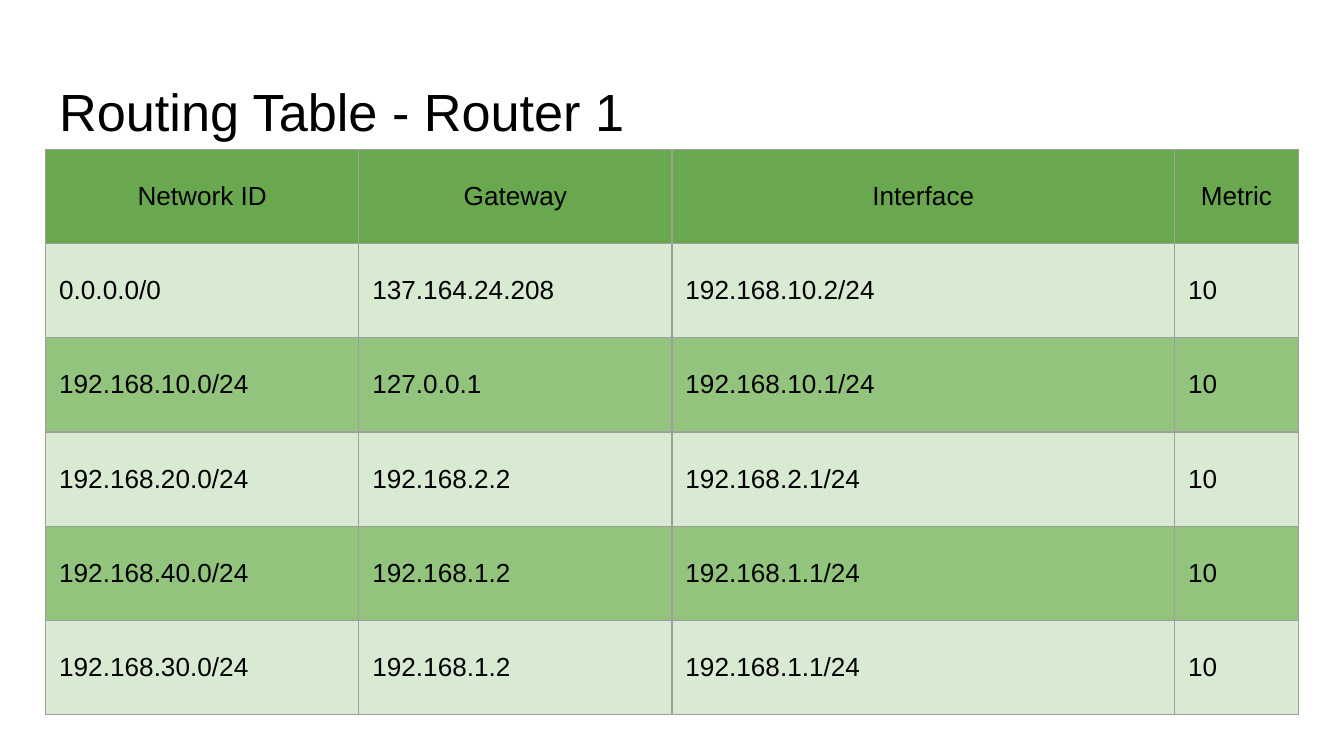
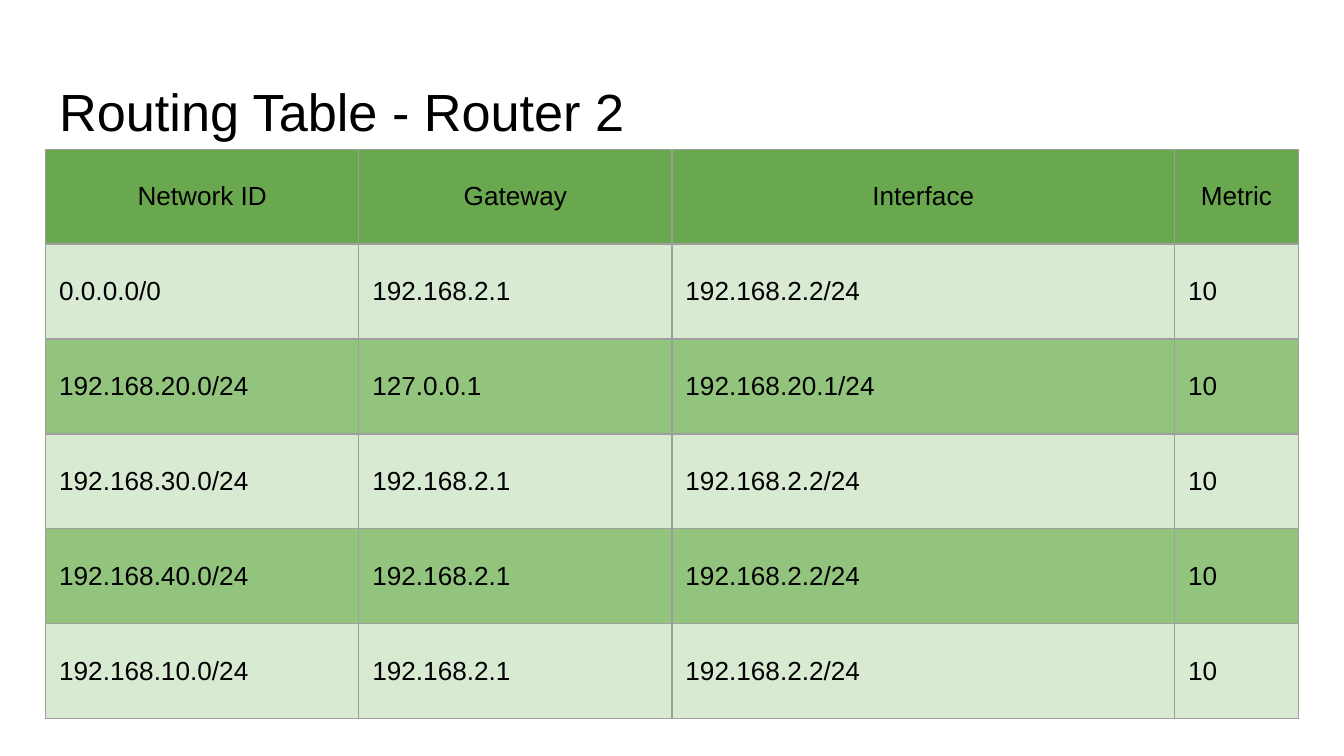
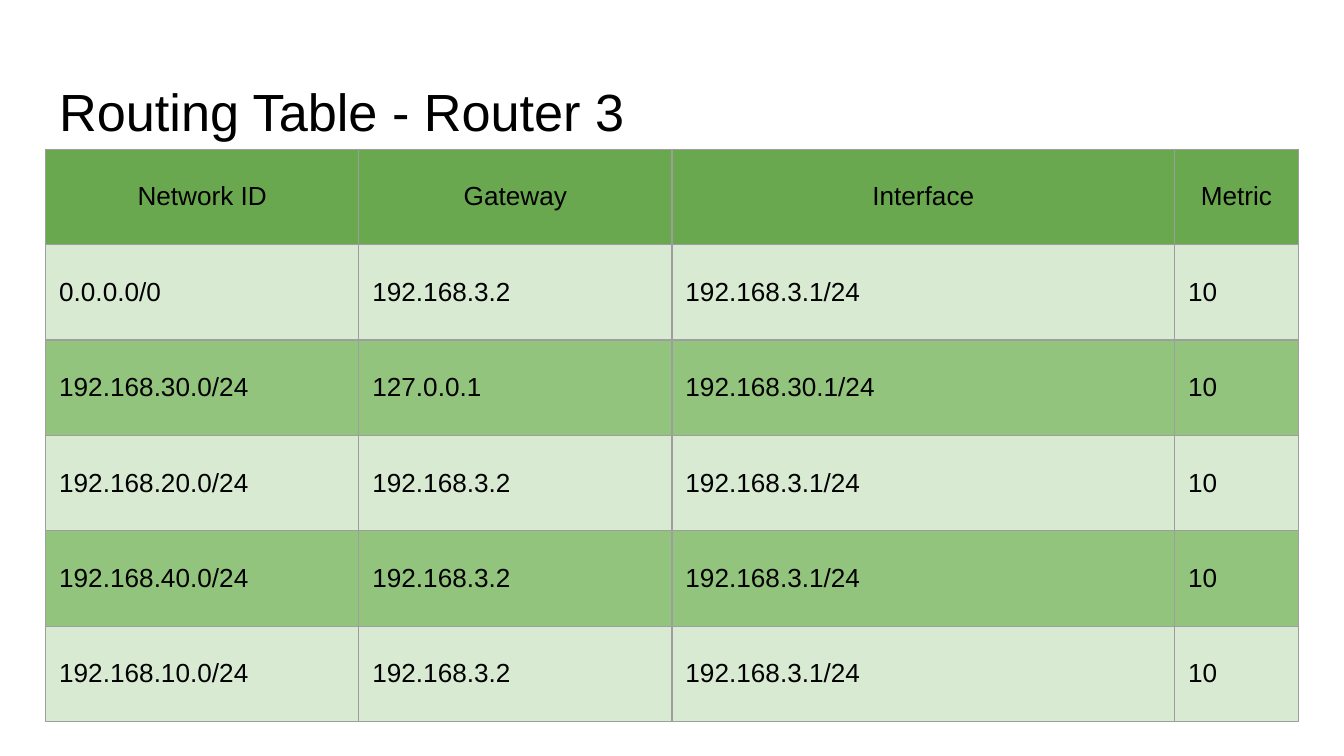
from pptx import Presentation
from pptx.dml.color import RGBColor
from pptx.enum.text import MSO_ANCHOR as Anchor, MSO_AUTO_SIZE as AutoSize, PP_ALIGN as Align
from pptx.oxml import parse_xml
from pptx.oxml.ns import nsdecls
from pptx.util import Inches, Pt

HEADER = ("Network ID", "Gateway", "Interface", "Metric")
ROUTERS = [
    {"title": "Routing Table - Router 1", "height": 4.21, "routes": [
        ("0.0.0.0/0", "137.164.24.208", "192.168.10.2/24"),
        ("192.168.10.0/24", "127.0.0.1", "192.168.10.1/24"),
        ("192.168.20.0/24", "192.168.2.2", "192.168.2.1/24"),
        ("192.168.40.0/24", "192.168.1.2", "192.168.1.1/24"),
        ("192.168.30.0/24", "192.168.1.2", "192.168.1.1/24"),
    ]},
    {"title": "Routing Table - Router 2", "height": 4.24, "routes": [
        ("0.0.0.0/0", "192.168.2.1", "192.168.2.2/24"),
        ("192.168.20.0/24", "127.0.0.1", "192.168.20.1/24"),
        ("192.168.30.0/24", "192.168.2.1", "192.168.2.2/24"),
        ("192.168.40.0/24", "192.168.2.1", "192.168.2.2/24"),
        ("192.168.10.0/24", "192.168.2.1", "192.168.2.2/24"),
    ]},
    {"title": "Routing Table - Router 3", "height": 4.26, "routes": [
        ("0.0.0.0/0", "192.168.3.2", "192.168.3.1/24"),
        ("192.168.30.0/24", "127.0.0.1", "192.168.30.1/24"),
        ("192.168.20.0/24", "192.168.3.2", "192.168.3.1/24"),
        ("192.168.40.0/24", "192.168.3.2", "192.168.3.1/24"),
        ("192.168.10.0/24", "192.168.3.2", "192.168.3.1/24"),
    ]},
]
METRIC = "10"

BLACK = RGBColor(0, 0, 0)
HEAD_GREEN = RGBColor(0x6A, 0xA8, 0x4F)
MID_GREEN = RGBColor(0x93, 0xC4, 0x7D)
PALE_GREEN = RGBColor(0xD9, 0xEA, 0xD3)
GRID_GRAY = RGBColor(0x9E, 0x9E, 0x9E)
FONT = "Arial"

SLIDE_WIDTH = 10
SLIDE_HEIGHT = SLIDE_WIDTH * 9 / 16
COLUMNS = (2.33, 2.33, 3.74, 0.92)
WIDTH = sum(COLUMNS)
LEFT = (SLIDE_WIDTH - WIDTH) / 2
TITLE_TOP, TITLE_HEIGHT = 0.49, 0.63
TABLE_TOP = 1.11
INSET = 0.1


def write(tf, text, size=14, align=Align.LEFT, color=BLACK):
    p = tf.paragraphs[0]
    p.alignment = align
    r = p.add_run()
    r.text = text
    r.font.name, r.font.size, r.font.color.rgb = FONT, Pt(size), color
    r.font.bold = False


def set_insets(box):
    box.margin_left = box.margin_right = Inches(INSET)
    box.margin_top = box.margin_bottom = Inches(INSET)


def add_title(s, text):
    sp = s.shapes.title
    sp.left, sp.top = Inches(LEFT), Inches(TITLE_TOP)
    sp.width, sp.height = Inches(WIDTH), Inches(TITLE_HEIGHT)
    tf = sp.text_frame
    tf.word_wrap, tf.auto_size = True, AutoSize.NONE
    tf.vertical_anchor = Anchor.TOP
    set_insets(tf)
    write(tf, text, size=28)


def add_borders(cell):
    tcPr = cell._tc.get_or_add_tcPr()
    for i, side in enumerate(("lnL", "lnR", "lnT", "lnB")):
        tcPr.insert(i, parse_xml(
            f'<a:{side} {nsdecls("a")} w="{Pt(0.75)}"><a:solidFill>'
            f'<a:srgbClr val="{GRID_GRAY}"/></a:solidFill></a:{side}>'))


def add_routes(s, routes, height):
    rows = [HEADER] + [route + (METRIC,) for route in routes]
    table = s.shapes.add_table(len(rows), len(COLUMNS), Inches(LEFT), Inches(TABLE_TOP),
                               Inches(WIDTH), Inches(height)).table
    table.horz_banding = False
    for column, width in zip(table.columns, COLUMNS):
        column.width = Inches(width)
    for i, row in enumerate(rows):
        fill = HEAD_GREEN if i == 0 else PALE_GREEN if i % 2 else MID_GREEN
        for j, text in enumerate(row):
            cell = table.cell(i, j)
            cell.fill.solid()
            cell.fill.fore_color.rgb = fill
            cell.vertical_anchor = Anchor.MIDDLE
            set_insets(cell)
            add_borders(cell)
            write(cell.text_frame, text, align=Align.LEFT if i else Align.CENTER)


prs = Presentation()
prs.slide_width, prs.slide_height = Inches(SLIDE_WIDTH), Inches(SLIDE_HEIGHT)
for router in ROUTERS:
    s = prs.slides.add_slide(prs.slide_layouts[5])
    add_title(s, router["title"])
    add_routes(s, router["routes"], router["height"])
prs.save("out.pptx")
